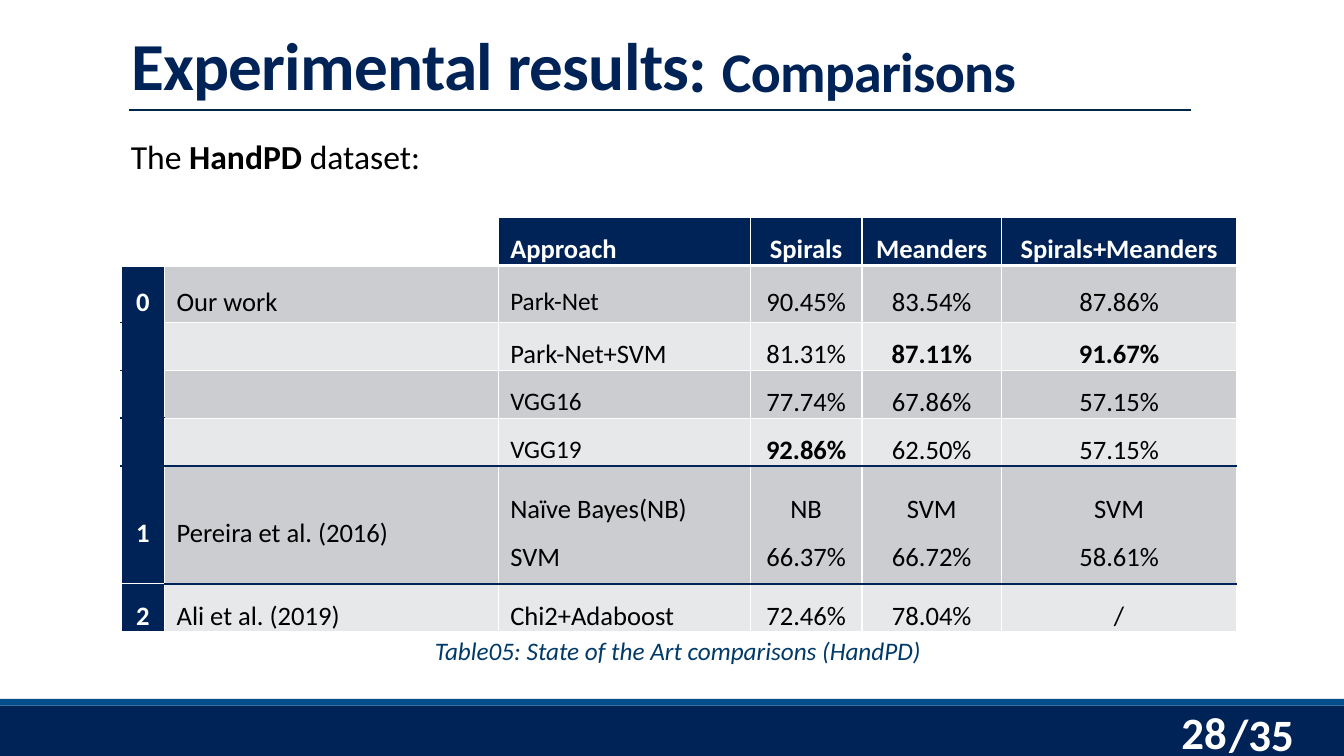
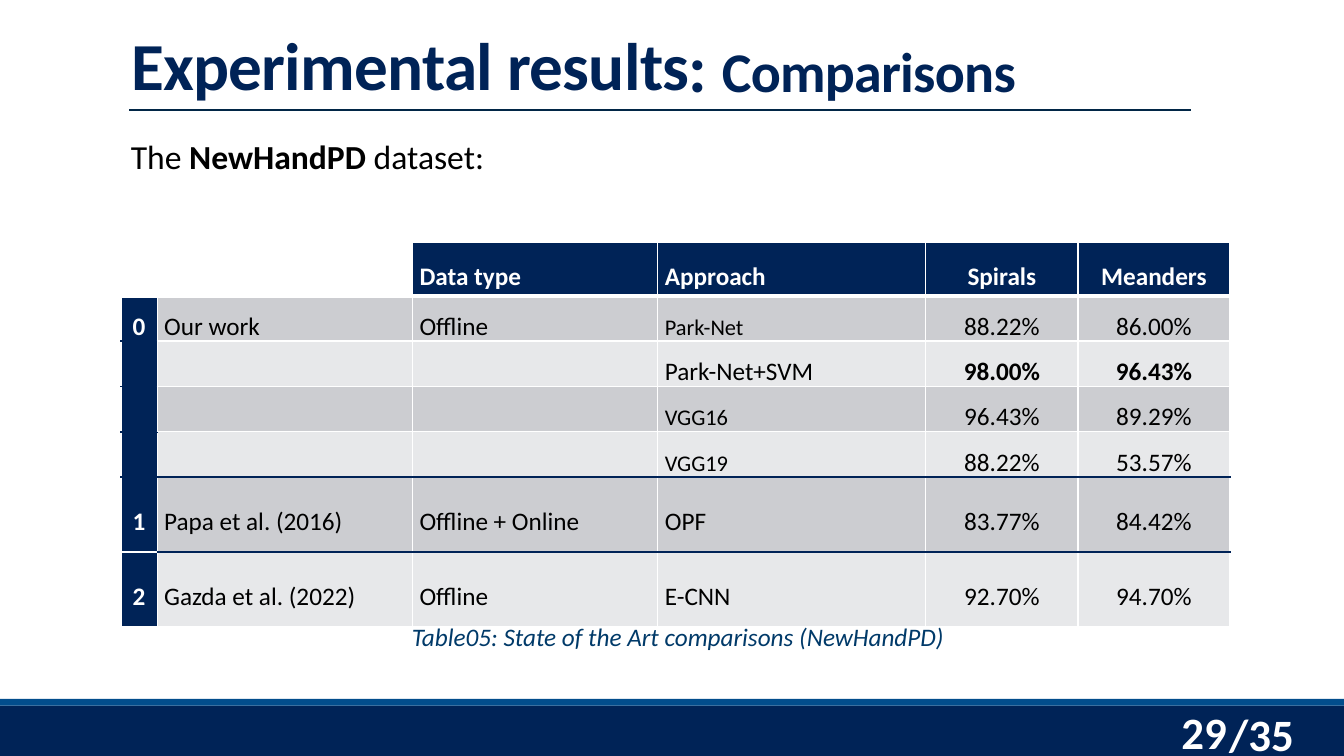
from dataclasses import dataclass

from lxml.etree import SubElement
from pptx import Presentation
from pptx.dml.color import RGBColor
from pptx.enum.shapes import MSO_CONNECTOR, MSO_SHAPE
from pptx.enum.text import MSO_ANCHOR, MSO_AUTO_SIZE, PP_ALIGN
from pptx.oxml.ns import qn
from pptx.util import Inches, Pt

GRID_COLUMNS, GRID_ROWS = 160, 90
GRID_UNIT = Inches(7.5) / GRID_ROWS


@dataclass(frozen=True)
class Theme:
    font: str = "Calibri"
    navy: str = "002357"
    blue: str = "024D8C"
    rule: str = "012646"
    caption: str = "013A69"
    white: str = "FFFFFF"
    black: str = "000000"
    row_shades: tuple = ("E7E8EA", "CCCDD1")
    title_size: int = 48
    subtitle_size: int = 40
    page_size: int = 32
    intro_size: int = 24
    caption_size: int = 18


THEME = Theme()


@dataclass(frozen=True)
class Comparison:
    page: int
    dataset: str
    top: float
    columns: tuple
    rows: tuple
    cells: tuple
    best: frozenset
    first_value_column: int
    inset: float
    size: int
    small_size: int
    small_anchor: MSO_ANCHOR
    caption_top: float


COMPARISONS = (
    Comparison(
        page=28,
        dataset="HandPD",
        top=25.9,
        columns=(5.2, 39.7, 30, 13.3, 16.6, 28),
        rows=(5.2, 6.8, 5.2, 5.2, 5.2, 14, 5.2),
        cells=(
            ("", "", "Approach", "Spirals", "Meanders", "Spirals+Meanders"),
            ("0", "Our work", "Park-Net", "90.45%", "83.54%", "87.86%"),
            ("", "", "Park-Net+SVM", "81.31%", "87.11%", "91.67%"),
            ("", "", "VGG16", "77.74%", "67.86%", "57.15%"),
            ("", "", "VGG19", "92.86%", "62.50%", "57.15%"),
            ("1", "Pereira et al. (2016)", "Naïve Bayes(NB)\nSVM",
             "NB\n66.37%", "SVM\n66.72%", "SVM\n58.61%"),
            ("2", "Ali et al. (2019)", "Chi2+Adaboost", "72.46%", "78.04%", "/"),
        ),
        best=frozenset({(2, 4), (2, 5), (4, 3)}),
        first_value_column=3,
        inset=0.12,
        size=19,
        small_size=18,
        small_anchor=MSO_ANCHOR.MIDDLE,
        caption_top=75.1,
    ),
    Comparison(
        page=29,
        dataset="NewHandPD",
        top=28.8,
        columns=(4.3, 30.4, 29.2, 31.9, 18.1, 18.1),
        rows=(6.4, 4.2, 4.2, 4.2, 4.2, 8.9, 8.9),
        cells=(
            ("", "", "Data type", "Approach", "Spirals", "Meanders"),
            ("0", "Our work", "Offline", "Park-Net", "88.22%", "86.00%"),
            ("", "", "", "Park-Net+SVM", "98.00%", "96.43%"),
            ("", "", "", "VGG16", "96.43%", "89.29%"),
            ("", "", "", "VGG19", "88.22%", "53.57%"),
            ("1", "Papa et al. (2016)", "Offline + Online", "OPF", "83.77%", "84.42%"),
            ("2", "Gazda et al. (2022)", "Offline", "E-CNN", "92.70%", "94.70%"),
        ),
        best=frozenset({(2, 4), (2, 5)}),
        first_value_column=4,
        inset=0.07,
        size=18,
        small_size=16,
        small_anchor=MSO_ANCHOR.BOTTOM,
        caption_top=73.4,
    ),
)
SMALL_APPROACHES = ("Park-Net", "VGG16", "VGG19")


def grid(*units):
    return [round(unit * GRID_UNIT) for unit in units]


def color(value):
    return RGBColor.from_string(value)


def format_run(run, size, fill, bold=False, italic=False, spacing=None):
    font = run.font
    font.name, font.size = THEME.font, Pt(size)
    font.bold, font.italic = bold, italic
    font.color.rgb = color(fill)
    if spacing is not None:
        run._r.get_or_add_rPr().set("spc", str(round(spacing * 100)))


def add_text(slide, box, runs, align=PP_ALIGN.LEFT, anchor=MSO_ANCHOR.TOP):
    text_frame = slide.shapes.add_textbox(*grid(*box)).text_frame
    text_frame.word_wrap = True
    text_frame.vertical_anchor = anchor
    paragraph = text_frame.paragraphs[0]
    paragraph.alignment = align
    for text, style in runs:
        run = paragraph.add_run()
        run.text = text
        format_run(run, **style)


def add_band(slide, box, fill):
    band = slide.shapes.add_shape(MSO_SHAPE.RECTANGLE, *grid(*box))
    band.shadow.inherit = False
    band.fill.solid()
    band.fill.fore_color.rgb = color(fill)
    band.line.fill.background()


def add_rule(slide, ends):
    rule = slide.shapes.add_connector(MSO_CONNECTOR.STRAIGHT, *grid(*ends))
    rule.line.color.rgb = color(THEME.rule)
    rule.line.width = Pt(1)
    SubElement(rule.element.spPr, qn("a:effectLst"))


def move_to_layout(slide):
    layout = slide.slide_layout
    for shape in list(slide.shapes):
        if not shape.is_placeholder:
            layout.shapes.element.append(shape.element)


def decorate_layout(slide, total):
    for placeholder in list(slide.slide_layout.placeholders)[1:]:
        placeholder.element.getparent().remove(placeholder.element)
    add_band(slide, (0, 84, GRID_COLUMNS, 6), THEME.navy)
    add_band(slide, (0, 83.2, GRID_COLUMNS, 0.8), THEME.blue)
    page_style = dict(size=THEME.page_size, fill=THEME.white, bold=True)
    add_text(slide, (145.1, 83.5, 11.2, 7.7), [(f"/{total}", page_style)])
    add_rule(slide, (15.4, 13.1, 141.8, 13.1))
    move_to_layout(slide)


def set_title(slide, title, subtitle):
    style = dict(size=THEME.title_size, fill=THEME.navy, bold=True, spacing=-0.5)
    shape = slide.shapes.title
    shape.left, shape.top, shape.width, shape.height = grid(14.4, 1.4, 132, 11.6)
    text_frame = shape.text_frame
    text_frame.text = title
    text_frame.auto_size = MSO_AUTO_SIZE.NONE
    text_frame.vertical_anchor = MSO_ANCHOR.BOTTOM
    paragraph = text_frame.paragraphs[0]
    paragraph.alignment = PP_ALIGN.LEFT
    paragraph.line_spacing = 0.85
    format_run(paragraph.runs[0], **style)
    subtitle_style = {**style, "size": THEME.subtitle_size}
    add_text(slide, (80.8, 2.4, 49.1, 10.9), [(": ", style), (subtitle, subtitle_style)])


def row_line(row, column):
    if row == 0:
        return THEME.white, 3
    navy_rows = (1, 2, 3, 4) if column == 0 else (4, 5)
    return (THEME.navy, 1.5) if row in navy_rows else (THEME.white, 1)


def set_borders(cell, above, below):
    side = (THEME.white, 1)
    borders = {"lnL": side, "lnR": side, "lnT": above, "lnB": below}
    properties = cell._tc.get_or_add_tcPr()
    for tag, (fill, width) in borders.items():
        line = SubElement(properties, qn(f"a:{tag}"), w=str(Pt(width)))
        SubElement(SubElement(line, qn("a:solidFill")), qn("a:srgbClr"), val=fill)


def fill_cell(cell, comparison, row, column):
    above = row_line(row - 1, column) if row else (THEME.white, 1)
    set_borders(cell, above, row_line(row, column))
    heading = row == 0 or column == 0
    if row == 0 and column < 2:
        cell.fill.background()
    else:
        cell.fill.solid()
        cell.fill.fore_color.rgb = color(THEME.navy if heading else THEME.row_shades[row % 2])

    text = comparison.cells[row][column]
    small = text in SMALL_APPROACHES
    cell.margin_left = cell.margin_right = Inches(comparison.inset)
    cell.margin_top = cell.margin_bottom = 0
    cell.vertical_anchor = comparison.small_anchor if small else MSO_ANCHOR.MIDDLE
    if not text:
        return
    cell.text_frame.text = text
    centred = column == 0 or column >= comparison.first_value_column
    for paragraph in cell.text_frame.paragraphs:
        paragraph.alignment = PP_ALIGN.CENTER if centred else PP_ALIGN.LEFT
        paragraph.line_spacing = 1.5
        format_run(
            paragraph.runs[0],
            comparison.small_size if small else comparison.size,
            THEME.white if heading else THEME.black,
            bold=heading or (row, column) in comparison.best,
        )


def add_comparison_table(slide, comparison):
    columns, rows = comparison.columns, comparison.rows
    box = grid(14.4, comparison.top, sum(columns), sum(rows))
    table = slide.shapes.add_table(len(rows), len(columns), *box).table
    table.first_row = table.horz_banding = False
    for column, width in zip(table.columns, grid(*columns)):
        column.width = width
    for row, height in zip(table.rows, grid(*rows)):
        row.height = height
    for row in range(len(rows)):
        for column in range(len(columns)):
            fill_cell(table.cell(row, column), comparison, row, column)
    table.cell(0, 0).merge(table.cell(0, 1))


def fill_slide(slide, comparison):
    set_title(slide, "Experimental results", "Comparisons")
    page_style = dict(size=THEME.page_size, fill=THEME.white, bold=True)
    add_text(slide, (130, 84.7, 17.2, 4.8), [(str(comparison.page), page_style)],
             PP_ALIGN.RIGHT, MSO_ANCHOR.MIDDLE)
    add_comparison_table(slide, comparison)
    plain = dict(size=THEME.intro_size, fill=THEME.black)
    add_text(slide, (14.4, 15.6, 48, 6), [
        ("The ", plain), (comparison.dataset, {**plain, "bold": True}), (" dataset:", plain),
    ])
    caption_style = dict(size=THEME.caption_size, fill=THEME.caption, italic=True)
    caption = f"Table05: State of the Art comparisons ({comparison.dataset})"
    add_text(slide, (11, comparison.caption_top, 139.4, 4.8),
             [(caption, caption_style)], PP_ALIGN.CENTER)


def main():
    presentation = Presentation()
    presentation.slide_width, presentation.slide_height = Inches(13.33), Inches(7.5)
    layout = presentation.slide_layouts[5]
    slides = [presentation.slides.add_slide(layout) for _ in COMPARISONS]
    decorate_layout(slides[0], total=35)
    for slide, comparison in zip(slides, COMPARISONS):
        fill_slide(slide, comparison)
    presentation.save("out.pptx")


if __name__ == "__main__":
    main()
